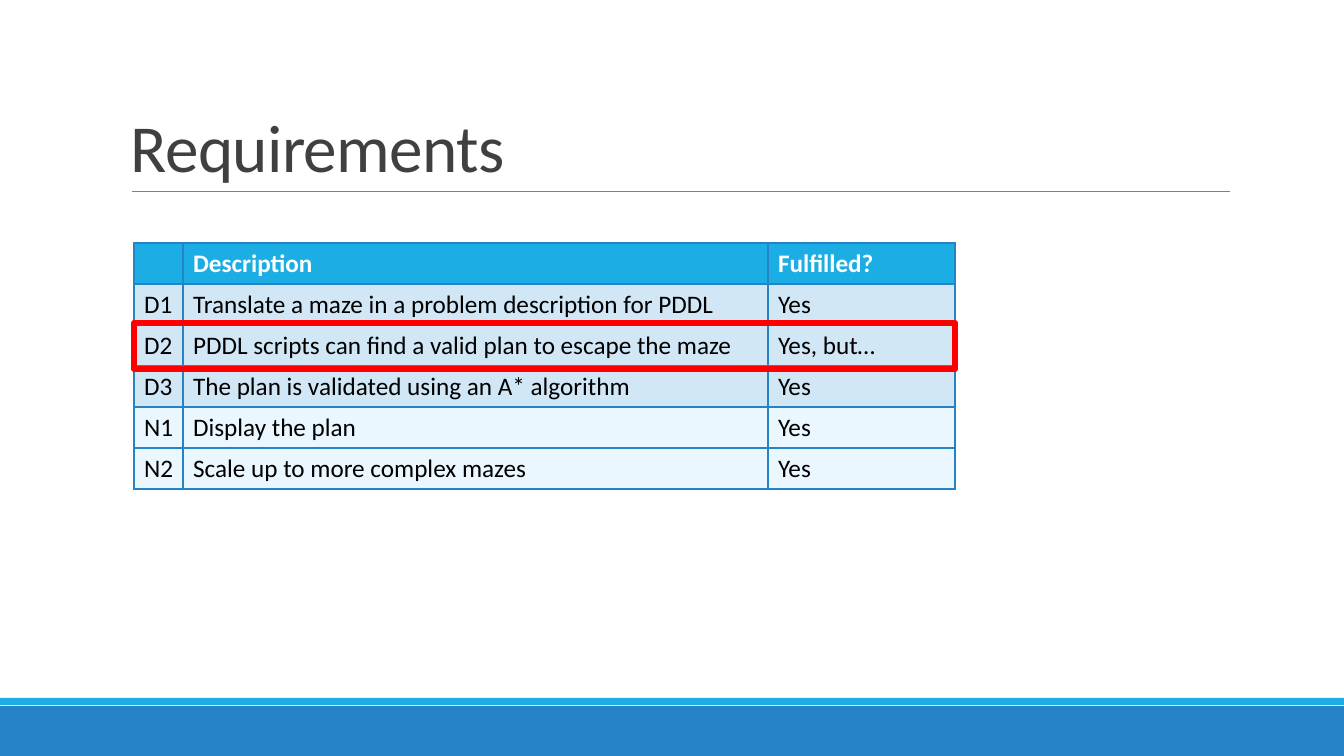
from lxml.etree import SubElement
from pptx import Presentation
from pptx.dml.color import RGBColor
from pptx.enum.shapes import MSO_CONNECTOR, MSO_SHAPE
from pptx.enum.text import MSO_ANCHOR
from pptx.oxml import parse_xml
from pptx.oxml.ns import nsdecls, qn
from pptx.util import Emu, Pt

EMU_PER_PX = 914400 / 100.8
WIDTH, HEIGHT = 1344, 756
FONT = "Calibri"
BLUE, CYAN, RED = "2683C6", "1CADE4", "FF0000"
GREY, DARK, WHITE, BLACK = "808080", "404040", "FFFFFF", "000000"
DESIRED_FILL, NICE_FILL = "D1E7F6", "EBF7FF"

TABLE_LEFT, TABLE_TOP, ROW_HEIGHT = 134, 243, 41
COLUMN_WIDTHS = [49, 585, 187]
CELL_MARGIN_RIGHT = 4
HEADER = ["", "Description", "Fulfilled?"]
REQUIREMENTS = [
    ["D1", "Translate a maze in a problem description for PDDL", "Yes"],
    ["D2", "PDDL scripts can find a valid plan to escape the maze", "Yes, but…"],
    ["D3", "The plan is validated using an A* algorithm", "Yes"],
    ["N1", "Display the plan", "Yes"],
    ["N2", "Scale up to more complex mazes", "Yes"],
]


def px(n):
    return Emu(round(n * EMU_PER_PX))


def rgb(value):
    return RGBColor.from_string(value)


class SlideBuilder:
    def __init__(self, slide):
        self.s = slide

    def rect(self, x, y, w, h, fill=None, line=None, weight=1):
        sp = self.s.shapes.add_shape(MSO_SHAPE.RECTANGLE, px(x), px(y), px(w), px(h))
        sp.shadow.inherit = False
        if fill:
            sp.fill.solid()
            sp.fill.fore_color.rgb = rgb(fill)
        else:
            sp.fill.background()
        if line:
            sp.line.color.rgb = rgb(line)
            sp.line.width = Pt(weight)
        else:
            sp.line.fill.background()

    def line(self, x1, y1, x2, y2, color, weight):
        cx = self.s.shapes.add_connector(
            MSO_CONNECTOR.STRAIGHT, px(x1), px(y1), px(x2), px(y2))
        cx.line.color.rgb = rgb(color)
        cx.line.width = Pt(weight)
        SubElement(cx._element.spPr, qn("a:effectLst"))

    def run(self, p, text, size, color, bold=False):
        r = p.add_run()
        r.text = text
        r.font.name = FONT
        r.font.size = Pt(size)
        r.font.bold = bold
        r.font.color.rgb = rgb(color)
        return r

    def title(self, x, y, w, h, text):
        tf = self.s.shapes.add_textbox(px(x), px(y), px(w), px(h)).text_frame
        tf.word_wrap = True
        tf.vertical_anchor = MSO_ANCHOR.BOTTOM
        p = tf.paragraphs[0]
        p.line_spacing = 0.85
        r = self.run(p, text, 48, DARK)
        r._r.get_or_add_rPr().set("spc", "-50")

    def borders(self, cell, color, weight):
        """Draw all four sides; the line elements must precede the cell fill."""
        tc_pr = cell._tc.get_or_add_tcPr()
        for i, side in enumerate("LRTB"):
            tc_pr.insert(i, parse_xml(
                f'<a:ln{side} {nsdecls("a")} w="{Pt(weight)}"><a:solidFill>'
                f'<a:srgbClr val="{color}"/></a:solidFill></a:ln{side}>'))

    def table(self, x, y, widths, row_height, rows, fills):
        """Draw rows with one fill each; the first row is the bold header."""
        table = self.s.shapes.add_table(
            len(rows), len(widths), px(x), px(y),
            px(sum(widths)), px(row_height * len(rows))).table
        table.first_row = table.horz_banding = False
        for column, width in zip(table.columns, widths):
            column.width = px(width)
        for i, (row, fill) in enumerate(zip(rows, fills)):
            table.rows[i].height = px(row_height)
            for j, text in enumerate(row):
                cell = table.cell(i, j)
                cell.margin_right = px(CELL_MARGIN_RIGHT)
                cell.fill.solid()
                cell.fill.fore_color.rgb = rgb(fill)
                self.borders(cell, BLUE, 1)
                if text:
                    self.run(cell.text_frame.paragraphs[0], text, 18,
                             BLACK if i else WHITE, bold=i == 0)


def main():
    prs = Presentation()
    prs.slide_width, prs.slide_height = px(WIDTH), px(HEIGHT)
    slide = SlideBuilder(prs.slides.add_slide(prs.slide_layouts[6]))

    slide.rect(0, 706, WIDTH, 50, fill=BLUE)
    slide.rect(0, 698, WIDTH, 7, fill=CYAN)
    slide.line(132, 191, 1230, 191, GREY, 0.5)
    slide.title(121, 31, 1109, 160, "Requirements")

    fills = [CYAN] + [DESIRED_FILL if row[0].startswith("D") else NICE_FILL
                      for row in REQUIREMENTS]
    slide.table(TABLE_LEFT, TABLE_TOP, COLUMN_WIDTHS, ROW_HEIGHT,
                [HEADER] + REQUIREMENTS, fills)
    slide.rect(TABLE_LEFT, 323, sum(COLUMN_WIDTHS), 46, line=RED, weight=4.5)

    prs.save("out.pptx")


if __name__ == "__main__":
    main()
